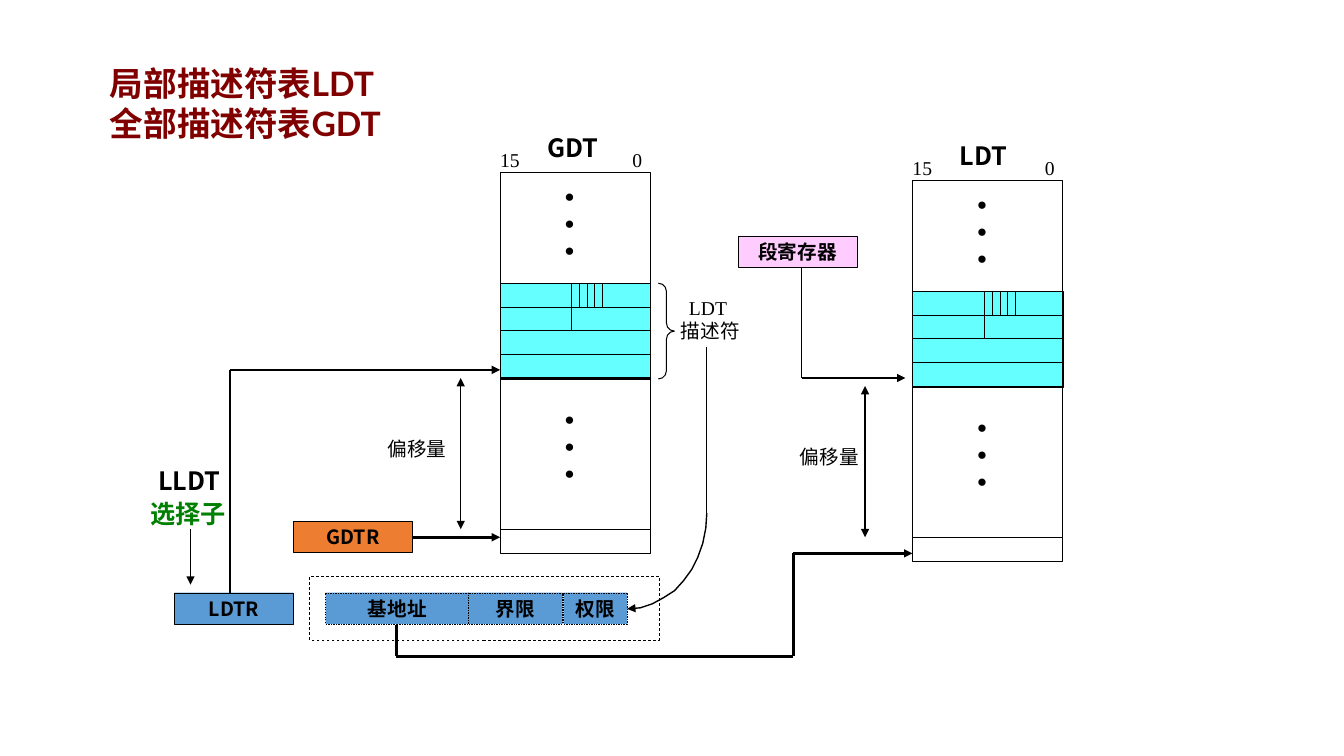
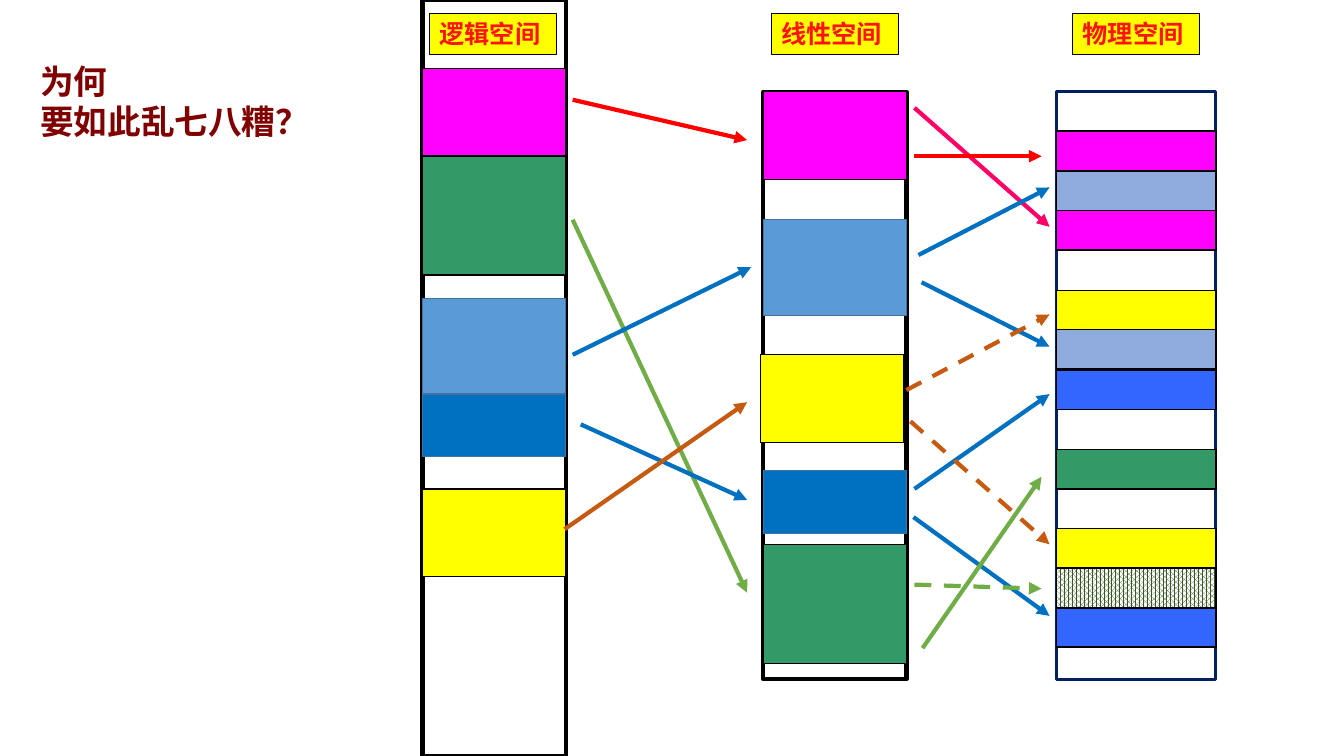
"""Build two slides on descriptor tables and address spaces."""
from dataclasses import dataclass
from typing import Optional

from lxml import etree
from pptx import Presentation
from pptx.dml.color import RGBColor
from pptx.enum.dml import MSO_LINE, MSO_PATTERN
from pptx.enum.shapes import MSO_CONNECTOR, MSO_SHAPE
from pptx.enum.text import MSO_ANCHOR, MSO_AUTO_SIZE, PP_ALIGN
from pptx.oxml.ns import qn
from pptx.util import Pt

PX = 9144
SANS, SERIF = "Noto Sans CJK SC", "Times New Roman"
RECT, BRACE = MSO_SHAPE.RECTANGLE, MSO_SHAPE.RIGHT_BRACE
STRAIGHT, DASH = MSO_CONNECTOR.STRAIGHT, MSO_LINE.DASH
LEFT, MID = PP_ALIGN.LEFT, PP_ALIGN.CENTER
LOW, CORE = MSO_ANCHOR.BOTTOM, MSO_ANCHOR.MIDDLE
FIXED, HATCH = MSO_AUTO_SIZE.NONE, MSO_PATTERN.PERCENT_75

BLACK = RGBColor(0x00, 0x00, 0x00)
WHITE = RGBColor(0xFF, 0xFF, 0xFF)
MAROON = RGBColor(0x80, 0x00, 0x00)
GREEN = RGBColor(0x00, 0x80, 0x00)
CYAN = RGBColor(0x66, 0xFF, 0xFF)
ORANGE = RGBColor(0xED, 0x7D, 0x31)
SKY = RGBColor(0x5B, 0x9B, 0xD5)
PINK = RGBColor(0xFF, 0xCC, 0xFF)
NAVY = RGBColor(0x00, 0x20, 0x60)
FUCHSIA = RGBColor(0xFF, 0x00, 0xFF)
JADE = RGBColor(0x33, 0x99, 0x66)
YELLOW = RGBColor(0xFF, 0xFF, 0x00)
PALE = RGBColor(0x8F, 0xAA, 0xDC)
ROYAL = RGBColor(0x33, 0x66, 0xFF)
FOREST = RGBColor(0x38, 0x57, 0x23)
RED = RGBColor(0xFF, 0x00, 0x00)
LEAF = RGBColor(0x70, 0xAD, 0x47)
BLUE = RGBColor(0x00, 0x70, 0xC0)
RUST = RGBColor(0xC5, 0x5A, 0x11)
ROSE = RGBColor(0xFF, 0x00, 0x66)
SCARLET = RGBColor(0xFF, 0x13, 0x13)
STEEL = RGBColor(0x43, 0x73, 0x9E)


@dataclass(frozen=True)
class Box:
    """A rectangle with its fill, outline and label."""
    x: int
    y: int
    w: int
    h: int
    fill: Optional[RGBColor] = None
    line: RGBColor = BLACK
    width: float = 0.25
    dash: bool = False
    text: str = ""


@dataclass(frozen=True)
class Wire:
    """A straight line with optional arrowheads."""
    x: int
    y: int
    to_x: int
    to_y: int
    width: float = 0.75
    color: RGBColor = BLACK
    dash: bool = False
    head: bool = False
    tail: bool = False


@dataclass(frozen=True)
class Table:
    """A descriptor table with the place of its offset arrow."""
    name: str
    x: int
    y: int
    gap: int


def write(shape, text: str, *, size=14, font=SANS, color=BLACK, bold=False,
          align=MID, anchor=CORE, pad=(0, 0), lead=None, tab=0) -> None:
    """Fill a shape with formatted paragraphs."""
    frame = shape.text_frame
    frame.auto_size, frame.word_wrap = FIXED, True
    frame.vertical_anchor = anchor
    frame.margin_left = frame.margin_right = pad[0] * PX
    frame.margin_top = frame.margin_bottom = pad[1] * PX
    for n, line in enumerate(text.split("\n")):
        para = frame.add_paragraph() if n else frame.paragraphs[0]
        para.alignment = align
        para.space_before = Pt(0)
        if lead:
            para.line_spacing = lead
        if tab:
            stops = etree.SubElement(para._p.get_or_add_pPr(), qn("a:tabLst"))
            etree.SubElement(stops, qn("a:tab"), pos=str(tab * PX), algn="r")
        run = para.add_run()
        run.text = line
        run.font.size, run.font.bold = Pt(size), bold
        run.font.name = font
        run.font.color.rgb = color
        east = etree.SubElement(run._r.get_or_add_rPr(), qn("a:ea"))
        east.set("typeface", SANS)


def label(slide, x: int, y: int, w: int, h: int, text: str, **form) -> None:
    """Add a text box."""
    write(slide.shapes.add_textbox(x * PX, y * PX, w * PX, h * PX), text, **form)


def title(slide, x: int, y: int, w: int, h: int, text: str, font: str) -> None:
    """Place and format the slide title."""
    shape = slide.shapes.title
    shape.left, shape.top, shape.width, shape.height = (v * PX for v in (x, y, w, h))
    write(shape, text, size=24, font=font, color=MAROON, bold=True, align=LEFT,
          anchor=LOW, pad=(10, 5), lead=Pt(28.6))


def ink(line, color: RGBColor, width: float, dash: bool = False) -> None:
    """Format a line."""
    line.color.rgb = color
    line.width = Pt(width)
    if dash:
        line.dash_style = DASH


def tip(line, end: str) -> None:
    """Add an arrowhead to one end of a line."""
    etree.SubElement(line._get_or_add_ln(), qn(f"a:{end}"), type="triangle")


def block(slide, box: Box, kind=RECT):
    """Draw one box."""
    shape = slide.shapes.add_shape(kind, box.x * PX, box.y * PX, box.w * PX, box.h * PX)
    shape.shadow.inherit = False
    if box.fill is None:
        shape.fill.background()
    else:
        shape.fill.solid()
        shape.fill.fore_color.rgb = box.fill
    ink(shape.line, box.line, box.width, box.dash)
    if box.text:
        write(shape, box.text, bold=True)
    return shape


def wire(slide, item: Wire) -> None:
    """Draw one line or arrow."""
    shape = slide.shapes.add_connector(
        STRAIGHT, item.x * PX, item.y * PX, item.to_x * PX, item.to_y * PX)
    ink(shape.line, item.color, item.width, item.dash)
    if item.head:
        tip(shape.line, "headEnd")
    if item.tail:
        tip(shape.line, "tailEnd")
    etree.SubElement(shape._element.spPr, qn("a:effectLst"))


def table(slide, item: Table) -> None:
    """Draw a descriptor table with its labels and offset."""
    x, y = item.x, item.y
    end, top, low, base = x + 149, y + 110, y + 204, y + 354
    rows = [top + round(n * 23.6) for n in range(5)]
    block(slide, Box(x, top, 149, 95, CYAN))
    block(slide, Box(x, y, 149, 378, width=0.75))
    for row in rows + [base]:
        wire(slide, Wire(x, row, end, row))
    for n in range(5):
        tick = x + 71 + round(n * 7.8)
        wire(slide, Wire(tick, rows[1], tick, top))
    wire(slide, Wire(x + 71, rows[2], x + 71, rows[1]))
    label(slide, x, y - 24, 149, 23, "15\t0", font=SERIF, align=LEFT, tab=141)
    label(slide, x + 47, y - 40, 63, 30, item.name, size=18, bold=True, align=LEFT)
    for drop in (15, 236):
        label(slide, x + 47, y + drop, 55, 87, "· \n· \n· ", size=32, font=SERIF,
              bold=True, lead=0.5)
    label(slide, x - 118, y + 259, 71, 31, "偏移量", font=SERIF)
    mark = x - item.gap
    wire(slide, Wire(mark, base, mark, low, 1, head=True, tail=True))


def curve(slide, x: int, y: int, w: int, h: int) -> None:
    """Draw a bend from top right to bottom left with an arrowhead."""
    def ease(t: float) -> float:
        s = 1 - t
        return s ** 3 + 3 * s * s * t + 1.65 * s * t * t

    steps = [n / 10 for n in range(11)]
    dots = [(x + w * ease(t), y + h * ease(1 - t)) for t in steps]
    path = slide.shapes.build_freeform(*dots[0], scale=PX)
    path.add_line_segments(dots[1:], close=False)
    shape = path.convert_to_shape()
    shape.shadow.inherit = False
    shape.fill.background()
    ink(shape.line, BLACK, 1)
    tip(shape.line, "tailEnd")


def lookup(slide) -> None:
    """Draw the descriptor table slide."""
    title(slide, 99, 63, 294, 84, "局部描述符表LDT\n全部描述符表GDT", "Lato")
    for item in (Table("GDT", 496, 171, 39), Table("LDT", 905, 179, 47)):
        table(slide, item)
    for box in (
        Box(291, 517, 118, 31, ORANGE, text="GDTR"),
        Box(173, 588, 118, 31, SKY, text="LDTR"),
        Box(732, 234, 118, 31, PINK, text="段寄存器"),
        Box(323, 588, 142, 31, SKY, dash=True, text="基地址"),
        Box(464, 588, 94, 31, SKY, dash=True, text="界限"),
        Box(559, 588, 63, 31, SKY, dash=True, text="权限"),
        Box(307, 572, 347, 63, width=0.5, dash=True),
    ):
        block(slide, box)
    brace = block(slide, Box(653, 281, 16, 95, width=0.75), BRACE)
    brace.adjustments[0] = 0.505
    label(slide, 669, 289, 71, 55, "LDT \n描述符", font=SERIF, lead=Pt(16.6))
    label(slide, 157, 462, 63, 30, "LLDT", size=18, bold=True, align=LEFT)
    label(slide, 149, 494, 79, 30, "选择子", size=18, font=SERIF, color=GREEN,
          bold=True, align=LEFT)
    for item in (
        Wire(409, 533, 496, 533, 2, tail=True),
        Wire(228, 588, 228, 367, 1),
        Wire(228, 367, 496, 367, 1, tail=True),
        Wire(189, 525, 189, 580, 1, tail=True),
        Wire(701, 509, 701, 344, 1),
        Wire(393, 651, 393, 620, 2),
        Wire(393, 651, 787, 651, 2),
        Wire(787, 651, 787, 549, 2),
        Wire(787, 549, 905, 549, 2, tail=True),
        Wire(795, 375, 795, 265, 1),
        Wire(795, 375, 898, 375, 1, tail=True),
    ):
        wire(slide, item)
    curve(slide, 622, 509, 79, 95)


def spaces(slide) -> None:
    """Draw the address space slide."""
    title(slide, 30, 54, 294, 91, "为何\n要如此乱七八糟？", "Arial")
    for box in (Box(1048, 91, 158, 583, line=NAVY, width=2.25),
                Box(757, 91, 142, 583, width=3), Box(419, 0, 142, 750, width=3)):
        block(slide, box)
    for x, y, h, fill, line in (
        (419, 68, 87, FUCHSIA, BLACK), (419, 155, 118, JADE, BLACK),
        (419, 296, 95, SKY, STEEL), (419, 391, 62, BLUE, STEEL),
        (419, 485, 87, YELLOW, BLACK), (757, 91, 87, FUCHSIA, BLACK),
        (757, 218, 95, SKY, STEEL), (754, 352, 87, YELLOW, BLACK),
        (757, 467, 62, BLUE, STEEL), (757, 540, 118, JADE, BLACK),
    ):
        block(slide, Box(x, y, 142, h, fill, line, 1))
    pages = {1: FUCHSIA, 2: PALE, 3: FUCHSIA, 5: YELLOW, 6: PALE, 7: ROYAL,
             9: JADE, 11: YELLOW, 12: WHITE, 13: ROYAL}
    for row, fill in pages.items():
        page = block(slide, Box(1048, 91 + round(row * 39.4), 158, 39, fill, width=1))
        if fill == WHITE:
            page.fill.patterned()
            page.fill.pattern = HATCH
            page.fill.fore_color.rgb, page.fill.back_color.rgb = FOREST, WHITE
    for x, text in ((426, "逻辑空间"), (765, "线性空间"), (1064, "物理空间")):
        sign = block(slide, Box(x, 13, 126, 41, YELLOW, width=0.75))
        write(sign, text, size=18, color=SCARLET, bold=True, align=LEFT, pad=(10, 5))
    for x, y, to_x, to_y, color, dash in (
        (568, 99, 741, 139, RED, False), (568, 218, 741, 588, LEAF, False),
        (568, 352, 745, 265, BLUE, False), (576, 421, 741, 496, BLUE, False),
        (560, 525, 741, 399, RUST, False), (907, 107, 1041, 225, ROSE, False),
        (907, 155, 1033, 155, RED, False), (911, 253, 1041, 186, BLUE, False),
        (914, 280, 1041, 344, BLUE, False), (907, 485, 1041, 391, BLUE, False),
        (906, 513, 1041, 611, BLUE, False), (903, 418, 1041, 540, RUST, True),
        (899, 387, 1041, 312, RUST, True), (907, 580, 1033, 584, LEAF, True),
        (915, 643, 1033, 473, LEAF, False),
    ):
        wire(slide, Wire(x, y, to_x, to_y, 3, color, dash, tail=True))


def main() -> None:
    """Build and save the deck."""
    deck = Presentation()
    deck.slide_width, deck.slide_height = 1333 * PX, 750 * PX
    for draw in (lookup, spaces):
        draw(deck.slides.add_slide(deck.slide_layouts[5]))
    deck.save("out.pptx")


if __name__ == "__main__":
    main()
